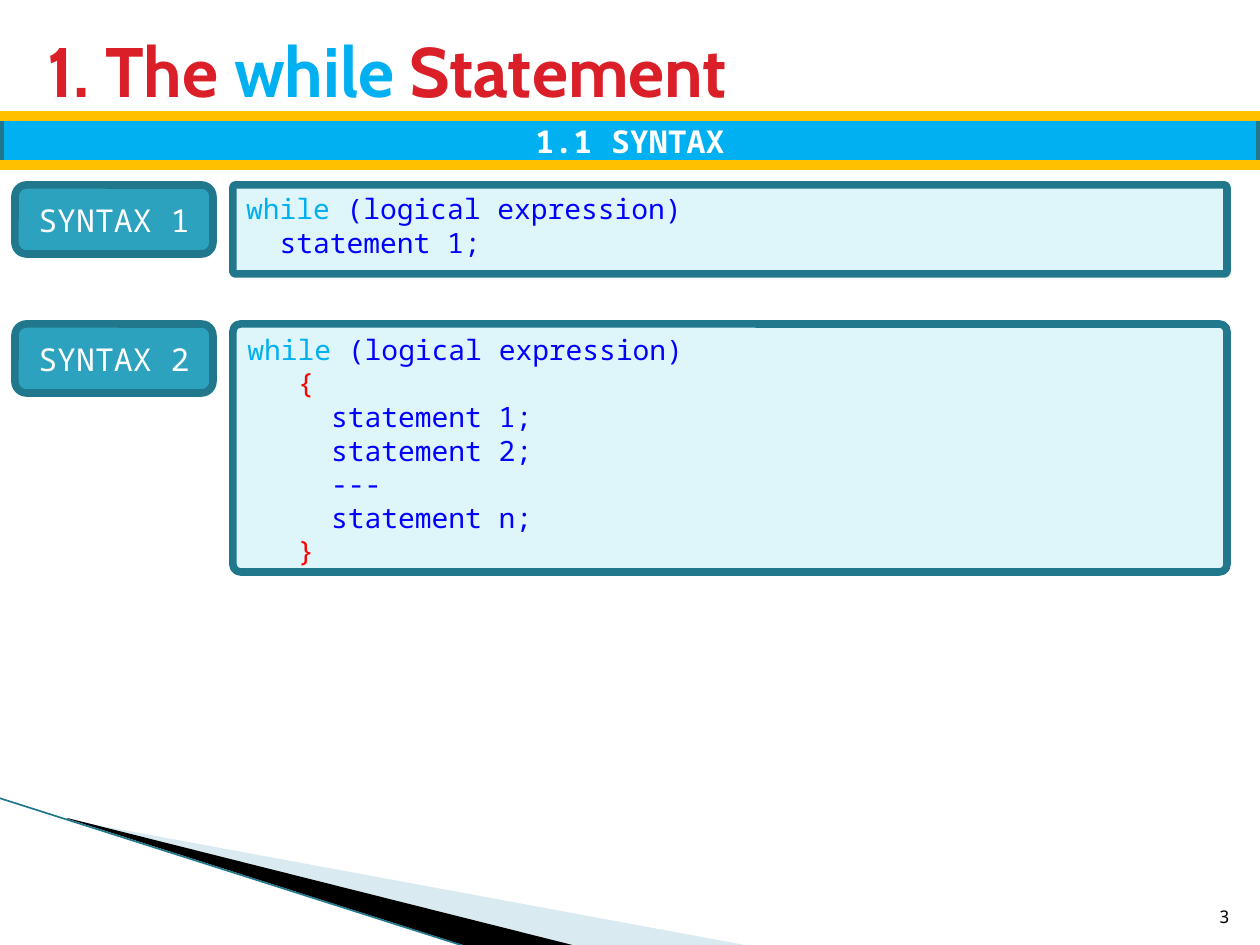
from dataclasses import dataclass

from lxml.etree import SubElement
from pptx import Presentation
from pptx.dml.color import RGBColor
from pptx.enum.shapes import MSO_CONNECTOR, MSO_SHAPE
from pptx.enum.text import MSO_ANCHOR, PP_ALIGN
from pptx.oxml.ns import qn
from pptx.util import Pt

EMU_PER_PX = 914400 / 126
SLIDE_WIDTH, SLIDE_HEIGHT = 1260, 945


def px(length):
    return round(length * EMU_PER_PX)


@dataclass(frozen=True)
class Theme:
    title_font: str = "Cabin"
    code_font: str = "Noto Sans Mono"
    title_size: int = 40
    label_size: int = 18
    code_size: int = 16
    number_size: int = 10
    outline_width: float = 4.33
    rule_width: float = 6
    hairline: float = 0.95
    red: str = "DA1F28"
    sky: str = "00B0F0"
    gold: str = "FFC000"
    teal: str = "2DA2BF"
    dark_teal: str = "21788D"
    pale: str = "DEF5FA"
    mist: str = "A0CBDC"
    code: str = "0000FF"
    brace: str = "FF0000"
    white: str = "FFFFFF"
    black: str = "000000"


class SlideBuilder:
    def __init__(self, slide, theme):
        self.slide = slide
        self.shapes = slide.shapes
        self.theme = theme

    def format_font(self, run, font, size, color, bold=False):
        run.font.name = font
        run.font.size = Pt(size)
        run.font.bold = bold
        run.font.color.rgb = RGBColor.from_string(color)

    def title(self, left, top, width, height, parts):
        title = self.shapes.title
        title.left, title.top, title.width, title.height = map(px, (left, top, width, height))
        frame = title.text_frame
        frame.vertical_anchor = MSO_ANCHOR.MIDDLE
        paragraph = frame.paragraphs[0]
        paragraph.alignment = PP_ALIGN.LEFT
        for text, color in parts:
            run = paragraph.add_run()
            run.text = text
            self.format_font(run, self.theme.title_font, self.theme.title_size, color, True)

    def box(self, kind, left, top, width, height, fill):
        shape = self.shapes.add_shape(kind, px(left), px(top), px(width), px(height))
        shape.shadow.inherit = False
        shape.fill.solid()
        shape.fill.fore_color.rgb = RGBColor.from_string(fill)
        shape.line.color.rgb = RGBColor.from_string(self.theme.dark_teal)
        shape.line.width = Pt(self.theme.outline_width)
        return shape

    def label(self, kind, left, top, width, height, text, fill, bold=False):
        frame = self.box(kind, left, top, width, height, fill).text_frame
        frame.text = text
        frame.vertical_anchor = MSO_ANCHOR.MIDDLE
        paragraph = frame.paragraphs[0]
        paragraph.alignment = PP_ALIGN.CENTER
        self.format_font(paragraph.runs[0], self.theme.code_font, self.theme.label_size,
                         self.theme.white, bold)

    def code_panel(self, left, top, width, height, lines):
        shape = self.box(MSO_SHAPE.ROUNDED_RECTANGLE, left, top, width, height, self.theme.pale)
        shape.adjustments[0] = 0.03
        frame = shape.text_frame
        frame.vertical_anchor = MSO_ANCHOR.TOP
        for index, parts in enumerate(lines):
            paragraph = frame.add_paragraph() if index else frame.paragraphs[0]
            paragraph.alignment = PP_ALIGN.LEFT
            for text, color in parts:
                run = paragraph.add_run()
                run.text = text
                self.format_font(run, self.theme.code_font, self.theme.code_size, color)

    def line(self, start, end, color, width):
        connector = self.shapes.add_connector(MSO_CONNECTOR.STRAIGHT, *map(px, start + end))
        connector.line.color.rgb = RGBColor.from_string(color)
        connector.line.width = Pt(width)
        SubElement(connector._element.spPr, qn("a:effectLst"))

    def polygon(self, points, fill, opacity=100):
        builder = self.shapes.build_freeform(*points[0], scale=EMU_PER_PX)
        builder.add_line_segments(points[1:], close=True)
        shape = builder.convert_to_shape()
        shape.shadow.inherit = False
        shape.fill.solid()
        shape.fill.fore_color.rgb = RGBColor.from_string(fill)
        shape.line.fill.background()
        if opacity < 100:
            color = shape._element.spPr.find(qn("a:solidFill"))[0]
            SubElement(color, qn("a:alpha"), val=str(opacity * 1000))

    def page_number(self, left, top, width, height, text):
        box = self.shapes.add_textbox(px(left), px(top), px(width), px(height))
        frame = box.text_frame
        frame.text = text
        frame.word_wrap = True
        frame.vertical_anchor = MSO_ANCHOR.BOTTOM
        paragraph = frame.paragraphs[0]
        paragraph.alignment = PP_ALIGN.RIGHT
        self.format_font(paragraph.runs[0], self.theme.code_font, self.theme.number_size,
                         self.theme.black)


def main():
    presentation = Presentation()
    presentation.slide_width, presentation.slide_height = px(SLIDE_WIDTH), px(SLIDE_HEIGHT)
    theme = Theme()
    builder = SlideBuilder(presentation.slides.add_slide(presentation.slide_layouts[5]), theme)

    # Corner decoration
    builder.polygon([(69, 820), (750, 946), (575, 946), (69, 819)], theme.mist, 40)
    builder.polygon([(67, 818), (576, 946), (469, 947), (68, 819)], theme.black)
    builder.line((-1, 798), (467, 947), theme.dark_teal, theme.hairline)

    # Title
    builder.title(35, 16, 1124, 107, [
        ("1. The ", theme.red), ("while ", theme.sky), ("Statement", theme.red)])

    # Section bar between two rules
    bar_top, bar_height = 116, 49
    builder.label(MSO_SHAPE.RECTANGLE, 0, bar_top, SLIDE_WIDTH, bar_height,
                  "1.1 SYNTAX", theme.sky, bold=True)
    for y in (bar_top, bar_top + bar_height):
        builder.line((0, y), (SLIDE_WIDTH, y), theme.gold, theme.rule_width)

    # Syntax labels with their code panels
    header = [("while ", theme.sky), ("(logical expression)", theme.code)]
    body = [[("     " + text, theme.code)]
            for text in ("statement 1;", "statement 2;", "---", "statement n;")]
    opening, closing = ([("   ", theme.code), (brace, theme.brace)] for brace in "{}")
    sections = [
        ("SYNTAX 1", 185, 89, [header, [("  statement 1;", theme.code)]]),
        ("SYNTAX 2", 324, 248, [header, opening, *body, closing]),
    ]
    for name, top, height, lines in sections:
        builder.code_panel(233, top, 994, height, lines)
        builder.label(MSO_SHAPE.ROUNDED_RECTANGLE, 15, top, 198, 69, name, theme.teal)

    # Page number
    builder.page_number(1192, 883, 50, 50, "3")

    presentation.save("out.pptx")


if __name__ == "__main__":
    main()
